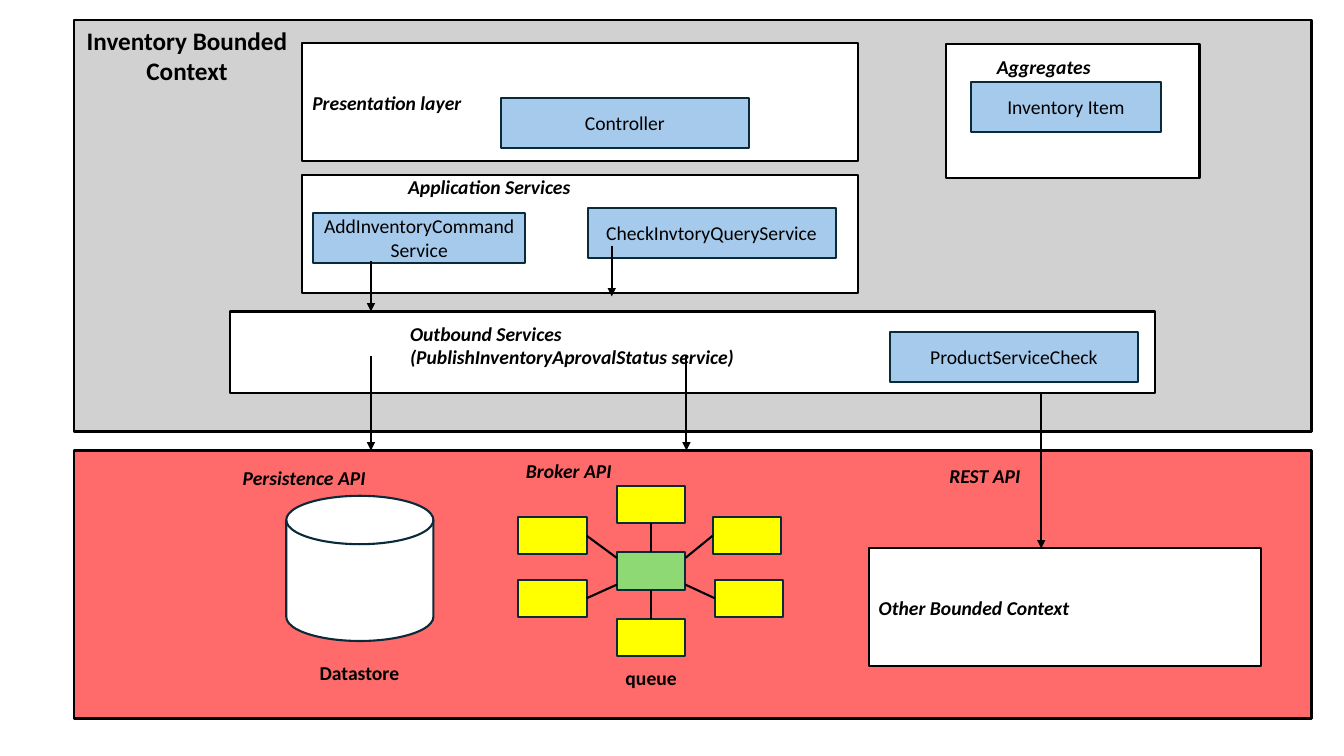
"""Build the slide showing the layers of the inventory bounded context."""
from dataclasses import dataclass

from lxml import etree
from pptx import Presentation
from pptx.dml.color import RGBColor
from pptx.enum.shapes import MSO_CONNECTOR, MSO_SHAPE
from pptx.enum.text import MSO_ANCHOR, MSO_AUTO_SIZE, PP_ALIGN
from pptx.oxml.ns import qn
from pptx.util import Pt

RECT = MSO_SHAPE.RECTANGLE
DISK = MSO_SHAPE.FLOWCHART_MAGNETIC_DISK
STRAIGHT = MSO_CONNECTOR.STRAIGHT
LEFT, CENTER = PP_ALIGN.LEFT, PP_ALIGN.CENTER
MIDDLE = MSO_ANCHOR.MIDDLE
GROW = MSO_AUTO_SIZE.SHAPE_TO_FIT_TEXT
TOP_SIDE, LEFT_SIDE, BOTTOM_SIDE, RIGHT_SIDE = 0, 1, 2, 3


@dataclass(frozen=True)
class Theme:
    font: str = "Calibri"
    title: int = 18
    body: int = 14
    stroke: float = 1.5
    black: RGBColor = RGBColor(0x00, 0x00, 0x00)
    white: RGBColor = RGBColor(0xFF, 0xFF, 0xFF)
    gray: RGBColor = RGBColor(0xD1, 0xD1, 0xD1)
    blue: RGBColor = RGBColor(0xA6, 0xCA, 0xEC)
    navy: RGBColor = RGBColor(0x09, 0x2A, 0x39)
    red: RGBColor = RGBColor(0xFF, 0x00, 0x00)
    yellow: RGBColor = RGBColor(0xFF, 0xFF, 0x00)
    green: RGBColor = RGBColor(0x8E, 0xD9, 0x73)


theme = Theme()
prs = Presentation()
prs.slide_width, prs.slide_height = Pt(960), Pt(540)
s = prs.slides.add_slide(prs.slide_layouts[6])


def write(sp, text, align, bold=False, italic=False, size=theme.body):
    """Fill a shape with one paragraph per line of text."""
    tf = sp.text_frame
    tf.word_wrap = True
    for i, line in enumerate(text.split("\n")):
        p = tf.add_paragraph() if i else tf.paragraphs[0]
        p.alignment = align
        r = p.add_run()
        r.text = line
        r.font.name, r.font.size = theme.font, Pt(size)
        r.font.bold, r.font.italic = bold, italic
        r.font.color.rgb = theme.black


def add_box(x, y, w, h, fill, line=theme.black, kind=RECT):
    """Add a filled and outlined shape."""
    sp = s.shapes.add_shape(kind, Pt(x), Pt(y), Pt(w), Pt(h))
    sp.shadow.inherit = False
    sp.fill.solid()
    sp.fill.fore_color.rgb = fill
    sp.line.color.rgb = line
    sp.line.width = Pt(theme.stroke)
    sp.text_frame.vertical_anchor = MIDDLE
    return sp


add_box(52.6, 14.4, 884.2, 293.8, theme.gray)
infrastructure = add_box(52.6, 321.8, 884.2, 191.5, theme.red)
red = infrastructure.fill._xPr.find(qn("a:solidFill"))[0]
etree.SubElement(red, qn("a:alpha"), val="58000")

panels = [
    (216, 31, 396.7, 84.2, "Presentation layer"),
    (216, 125.3, 396.7, 84.2, ""),
    (675.4, 31.7, 181.4, 95.8, ""),
    (164.2, 222.5, 661, 58.3, ""),
    (620.6, 391.7, 280.1, 84.2, "Other Bounded Context"),
]
for x, y, w, h, text in panels:
    panel = add_box(x, y, w, h, theme.white)
    if text:
        write(panel, text, LEFT, bold=True, italic=True)

components = [
    (357.8, 69.8, 177.1, "Controller"),
    (223.9, 151.9, 151.2, "AddInventoryCommand\nService"),
    (419.8, 148.3, 177.1, "CheckInvtoryQueryService"),
    (693.4, 58.3, 136.1, "Inventory Item"),
    (635.8, 236.9, 177.1, "ProductServiceCheck"),
]
for x, y, w, text in components:
    write(add_box(x, y, w, 36, theme.blue, theme.navy), text, CENTER)

add_box(204.5, 354.2, 105.1, 103.7, theme.white, theme.navy, DISK)

labels = [
    (40.3, 14.4, 186.5, 51, "Inventory Bounded Context", CENTER, False, theme.title),
    (284.4, 121.7, 136.1, 24.5, "Application Services", LEFT, True, theme.body),
    (677.5, 36, 136.1, 24.5, "Aggregates", CENTER, True, theme.body),
    (285.8, 226.1, 288.7, 41, "Outbound Services (PublishInventoryAprovalStatus service)",
     LEFT, True, theme.body),
    (166.3, 329, 120.2, 24.5, "Persistence API", LEFT, True, theme.body),
    (368.6, 324.4, 90, 24.5, "Broker API", LEFT, True, theme.body),
    (671, 328, 120.2, 24.5, "REST API", LEFT, True, theme.body),
    (211.7, 468.7, 90, 24.5, "Datastore", CENTER, False, theme.body),
    (383.8, 472, 162.7, 24.5, "queue", CENTER, False, theme.body),
]
for x, y, w, h, text, align, italic, size in labels:
    tb = s.shapes.add_textbox(Pt(x), Pt(y), Pt(w), Pt(h))
    write(tb, text, align, bold=True, italic=italic, size=size)
    tb.text_frame.auto_size = GROW

arrows = [
    (265, 186.5, 222.5),
    (437, 175.7, 211.7),
    (265, 254.2, 321.8),
    (490.3, 254.2, 321.8),
    (743.8, 280.8, 391.7),
]
lines = []
for x, top, bottom in arrows:
    arrow = s.shapes.add_connector(STRAIGHT, Pt(x), Pt(top), Pt(x), Pt(bottom))
    lines.append((arrow, True))

node_w, node_h = 49, 26.6
hub_x, hub_y = 440.6, 394.6
hub_right = hub_x + node_w
hub = add_box(hub_x, hub_y, node_w, node_h, theme.green, theme.navy)
nodes = [
    (hub_x, 347, BOTTOM_SIDE, TOP_SIDE, hub_x, hub_y),
    (hub_x, 442.1, TOP_SIDE, BOTTOM_SIDE, hub_x, hub_y),
    (370.1, 369.4, RIGHT_SIDE, None, hub_x, 398.5),
    (370.1, 414, RIGHT_SIDE, None, hub_x, 417.6),
    (509, 369.4, LEFT_SIDE, None, hub_right, 398.5),
    (510.5, 414, LEFT_SIDE, None, hub_right, 417.6),
]
for x, y, node_side, hub_side, start_x, start_y in nodes:
    node = add_box(x, y, node_w, node_h, theme.yellow, theme.navy)
    spoke = s.shapes.add_connector(STRAIGHT, Pt(start_x), Pt(start_y), Pt(x), Pt(y))
    if hub_side is not None:
        spoke.begin_connect(hub, hub_side)
    spoke.end_connect(node, node_side)
    lines.append((spoke, False))

for line, has_head in lines:
    line.line.color.rgb = theme.black
    line.line.width = Pt(theme.stroke)
    if has_head:
        etree.SubElement(line.line._get_or_add_ln(), qn("a:tailEnd"), type="triangle")
    etree.SubElement(line._element.spPr, qn("a:effectLst"))

prs.save("out.pptx")
